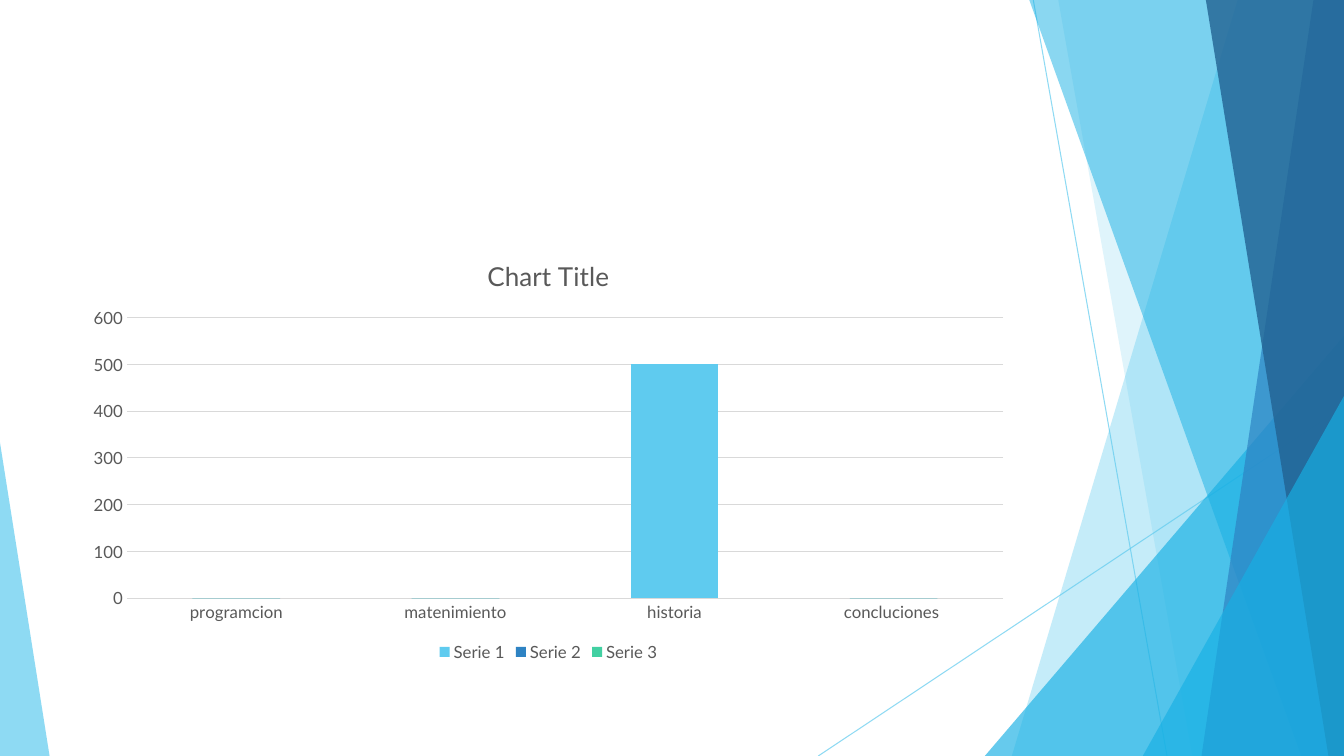
"""Build a slide with a stacked column chart framed by translucent blue facets."""
from pptx import Presentation
from pptx.chart.data import CategoryChartData
from pptx.dml.color import RGBColor
from pptx.enum import chart as kinds, shapes
from pptx.oxml import ns, xmlchemy
from pptx.util import Cm, Pt

WIDTH, HEIGHT = 33.87, 19.05
FONT, GREY, RULE = "Lato", "595959", "D9D9D9"
SKY, BLUE, NAVY, CYAN, GREEN = "5FCBEF", "2E83C3", "226292", "17B0E4", "42D0A2"

RAYS = [(26.04, 0, 29.41, HEIGHT), (WIDTH, 10.24, 20.62, HEIGHT)]
FACETS = [
    ("band", (31.19, 25.5), SKY, 36),
    ("band", (26.67, 30.05), SKY, 20),
    ("triangle", (24.82, 8.46, 9.05, 1), CYAN, 66),
    ("band", (25.94, 32.79), CYAN, 50),
    ("band", (33.1, 30.28), BLUE, 70),
    ("band", (30.39, 33.48), NAVY, 80),
    ("triangle", (28.8, 9.98, 5.07, 1), CYAN, 66),
    ("triangle", (0, 11.15, 1.25, 0), SKY, 70),
]
CHART_BOX = (1.88, 6, 23.88, 10.78)
CATEGORIES = ["programcion", "matenimiento", "historia", "concluciones "]
SERIES = [
    ("Serie 1", (0, 0, 500, 0), SKY),
    ("Serie 2", (0, 0, 0, 0), BLUE),
    ("Serie 3", (0, 0, 0, 0), GREEN),
]


def color(code):
    """Turn a hex string into a colour."""
    return RGBColor.from_string(code)


def set_opacity(shape, percent):
    """Make every colour of a shape translucent."""
    for tone in shape._element.iter(ns.qn("a:srgbClr")):
        alpha = xmlchemy.OxmlElement("a:alpha")
        alpha.set("val", str(percent * 1000))
        tone.append(alpha)


def add_ray(page, ends):
    """Draw a thin translucent line."""
    ray = page.shapes.add_connector(shapes.MSO_CONNECTOR.STRAIGHT, *map(Cm, ends))
    ray.line.color.rgb = color(SKY)
    ray.line.width = Pt(0.75)
    set_opacity(ray, 70)
    ray._element.spPr.append(xmlchemy.OxmlElement("a:effectLst"))


def add_facet(page, kind, place, fill, opacity):
    """Draw a full-height band or a triangle standing on the bottom edge."""
    if kind == "band":
        top, bottom = place
        outline = page.shapes.build_freeform(Cm(top), Cm(0))
        corners = [(WIDTH, 0), (WIDTH, HEIGHT), (bottom, HEIGHT)]
        outline.add_line_segments([(Cm(x), Cm(y)) for x, y in corners])
        facet = outline.convert_to_shape()
    else:
        left, top, width, apex = place
        facet = page.shapes.add_shape(
            shapes.MSO_SHAPE.ISOSCELES_TRIANGLE,
            *map(Cm, (left, top, width, HEIGHT - top)))
        facet.adjustments[0] = apex
    facet.shadow.inherit = False
    facet.line.fill.background()
    facet.fill.solid()
    facet.fill.fore_color.rgb = color(fill)
    set_opacity(facet, opacity)


def format_font(font, size=12, tone=GREY):
    """Set typeface, size and colour in regular weight."""
    font.name, font.size, font.bold = FONT, Pt(size), False
    font.color.rgb = color(tone)


def add_title(chart, text, **style):
    """Give the chart a formatted title."""
    chart.has_title = True
    chart.chart_title.include_in_layout = False
    para = chart.chart_title.text_frame.paragraphs[0]
    span = para.add_run()
    span.text = text
    format_font(span.font, **style)


def format_axis(axis):
    """Set labels without tick marks."""
    axis.major_tick_mark = axis.minor_tick_mark = kinds.XL_TICK_MARK.NONE
    format_font(axis.tick_labels.font)


def format_rule(line):
    """Set a thin light grey line."""
    line.color.rgb = color(RULE)
    line.width = Pt(0.75)


def add_columns(page):
    """Add the stacked column chart."""
    data = CategoryChartData()
    data.categories = CATEGORIES
    for name, values, _ in SERIES:
        data.add_series(name, values)
    chart = page.shapes.add_chart(
        kinds.XL_CHART_TYPE.COLUMN_STACKED, *map(Cm, CHART_BOX), data).chart
    format_font(chart.font, size=10, tone="000000")
    add_title(chart, "Chart Title", size=18.6)

    plot = chart.plots[0]
    plot.gap_width, plot.overlap = 150, 100
    plot.vary_by_categories = False
    for series, (_, _, fill) in zip(plot.series, SERIES):
        series.format.fill.solid()
        series.format.fill.fore_color.rgb = color(fill)

    format_axis(chart.category_axis)
    format_rule(chart.category_axis.format.line)
    format_axis(chart.value_axis)
    chart.value_axis.minimum_scale, chart.value_axis.maximum_scale = 0, 600
    chart.value_axis.major_unit = 100
    chart.value_axis.format.line.fill.background()
    format_rule(chart.value_axis.major_gridlines.format.line)

    chart.has_legend = True
    chart.legend.position = kinds.XL_LEGEND_POSITION.BOTTOM
    chart.legend.include_in_layout = False
    format_font(chart.legend.font)


def main():
    """Assemble and save the deck."""
    deck = Presentation()
    deck.slide_width, deck.slide_height = Cm(WIDTH), Cm(HEIGHT)
    page = deck.slides.add_slide(deck.slide_layouts[6])
    for ends in RAYS:
        add_ray(page, ends)
    for facet in FACETS:
        add_facet(page, *facet)
    add_columns(page)
    deck.save("out.pptx")


if __name__ == "__main__":
    main()
